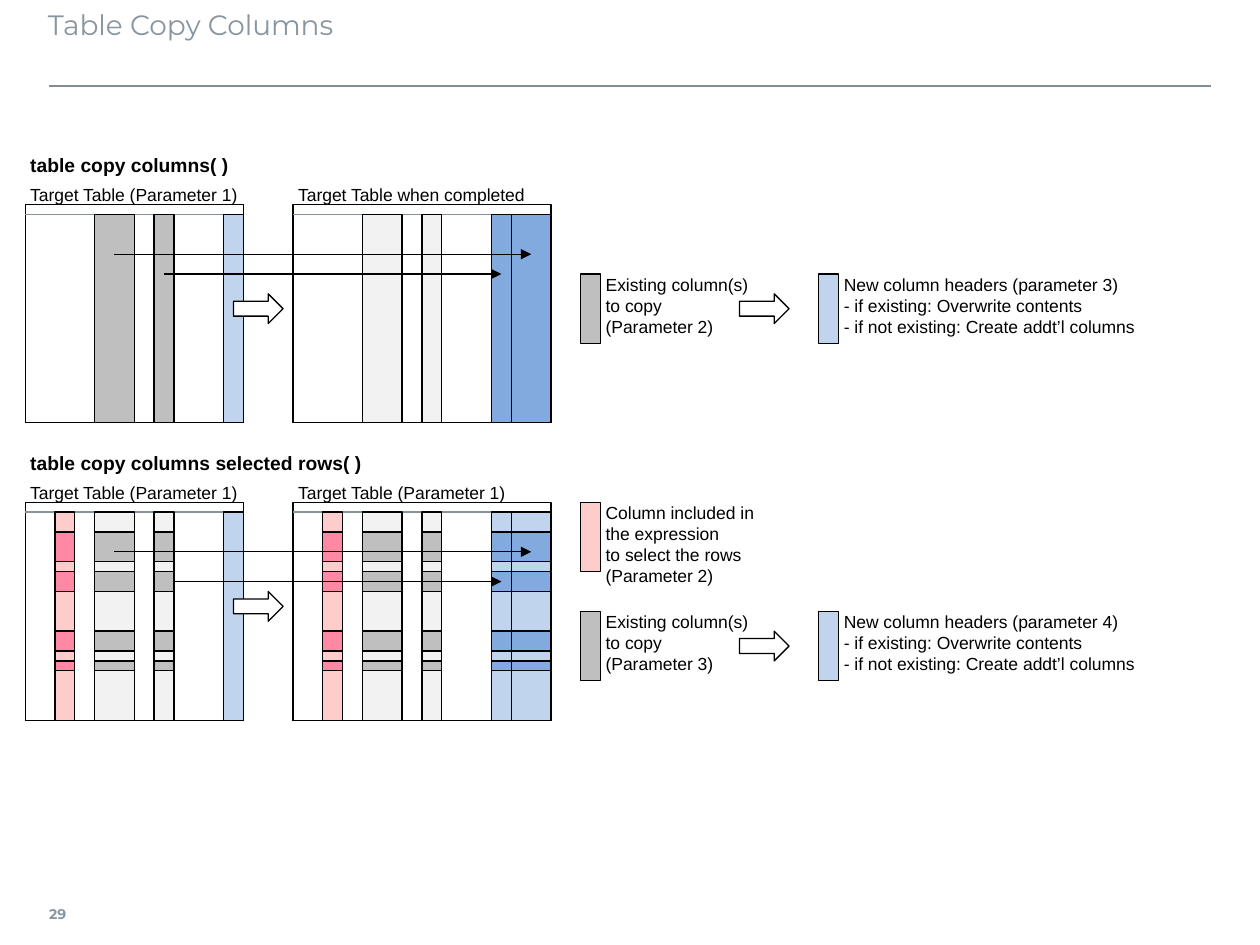
import copy
from dataclasses import dataclass

import pptx
import pptx.dml.color
import pptx.enum.shapes
import pptx.enum.text
import pptx.oxml
import pptx.oxml.ns
import pptx.util


@dataclass(frozen=True)
class Theme:
    body_font: str = "Arial"
    title_font: str = "Montserrat"
    title_size: float = 16
    heading_size: float = 11
    text_size: float = 10
    number_size: float = 8
    line_width: float = 0.75
    black: str = "000000"
    white: str = "FFFFFF"
    title: str = "8996A0"
    rule: str = "808D97"
    header_rule: str = "85939D"
    source: str = "BFBFBF"
    source_pale: str = "F2F2F2"
    target: str = "83AADE"
    target_pale: str = "C1D4EE"
    selector: str = "FF88A4"
    selector_pale: str = "FFCCCC"


THEME = Theme()
UNIT = pptx.util.Mm(2)  # one cell of the drawing grid
LEFT = pptx.util.Inches(0.2)
TOP = pptx.util.Inches(1.23)
RIGHT_TABLE = 27  # grid column where the second table starts
SHAPES = pptx.enum.shapes.MSO_SHAPE


def x(column):
    return LEFT + int(column * UNIT)


def y(row):
    return TOP + int(row * UNIT)


def color(value):
    return pptx.dml.color.RGBColor.from_string(value)


def format_text(text_frame, size, font=THEME.body_font, fill=THEME.black, bold=False):
    for paragraph in text_frame.paragraphs:
        for run in paragraph.runs:
            run.font.name, run.font.size = font, pptx.util.Pt(size)
            run.font.bold = bold
            run.font.color.rgb = color(fill)
        # line breaks take the run format, so that line heights match
        for line_break in paragraph._p.findall(pptx.oxml.ns.qn("a:br")):
            line_break.append(copy.deepcopy(paragraph.runs[0].font._rPr))


def set_frame(text_frame, insets, anchor, wrap):
    left, top, right, bottom = (pptx.util.Inches(inset) for inset in insets)
    text_frame.margin_left, text_frame.margin_top = left, top
    text_frame.margin_right, text_frame.margin_bottom = right, bottom
    text_frame.vertical_anchor = anchor
    text_frame.word_wrap = wrap
    text_frame.auto_size = pptx.enum.text.MSO_AUTO_SIZE.NONE


def add_label(slide, column, row, columns, rows, text, size=THEME.text_size,
              bold=False, middle=True):
    box = slide.shapes.add_textbox(x(column), y(row), columns * UNIT, rows * UNIT)
    anchors = pptx.enum.text.MSO_ANCHOR
    inset = 0.04 if middle else 0
    set_frame(box.text_frame, (0.04, inset, 0.04, inset),
              anchors.MIDDLE if middle else anchors.TOP, False)
    box.text_frame.text = text
    format_text(box.text_frame, size, bold=bold)


def add_box(slide, column, row, columns, rows, fill=None, kind=SHAPES.RECTANGLE):
    shape = slide.shapes.add_shape(kind, x(column), y(row), columns * UNIT, rows * UNIT)
    shape.shadow.inherit = False
    if fill:
        shape.fill.solid()
        shape.fill.fore_color.rgb = color(fill)
    else:
        shape.fill.background()
    shape.line.color.rgb = color(THEME.black)
    shape.line.width = pptx.util.Pt(THEME.line_width)
    return shape


def add_line(slide, start, end, stroke=THEME.black, width=THEME.line_width, arrow=False):
    line = slide.shapes.add_connector(
        pptx.enum.shapes.MSO_CONNECTOR.STRAIGHT, *start, *end)
    line.line.color.rgb = color(stroke)
    line.line.width = pptx.util.Pt(width)
    if arrow:
        tail = pptx.oxml.parse_xml(
            f'<a:tailEnd {pptx.oxml.ns.nsdecls("a")} type="triangle"/>')
        line.line._get_or_add_ln().append(tail)
    line._element.spPr.append(
        pptx.oxml.parse_xml(f'<a:effectLst {pptx.oxml.ns.nsdecls("a")}/>'))
    return line


def add_block_arrow(slide, column, row, fill=None):
    add_box(slide, column, row, 5, 3, fill, SHAPES.RIGHT_ARROW)


def build_frame(slide, width, height):
    # Title, rule below it and page number
    title = slide.shapes.title
    title.left, title.top = int(width * 0.038), int(width * 0.001)
    title.width, title.height = int(width * 0.921), int(height * 0.084)
    anchors = pptx.enum.text.MSO_ANCHOR
    set_frame(title.text_frame, (0, 0.05, 0.1, 0.05), anchors.TOP, True)
    title.text_frame.text = "Table Copy Columns"
    title.text_frame.paragraphs[0].alignment = pptx.enum.text.PP_ALIGN.LEFT
    format_text(title.text_frame, THEME.title_size, THEME.title_font, THEME.title)

    margin, rule_top = int(width * 0.039), int(width * 0.068)
    add_line(slide, (margin, rule_top), (width - margin, rule_top), THEME.rule, 1)

    number = slide.shapes.add_textbox(
        margin, int(width * 0.706), int(width * 0.035), int(width * 0.039))
    set_frame(number.text_frame, (0, 0.05, 0.08, 0.05), anchors.MIDDLE, False)
    number.text_frame.text = "29"
    format_text(number.text_frame, THEME.number_size, THEME.title_font, THEME.title, True)


def build_table(slide, column, row, columns, rule_columns, title, bands, marked_rows=()):
    """Draw a table sketch; a band is (column, columns, fill, fill of marked rows)."""
    add_label(slide, column, row + 3, 15, 2, title)
    add_box(slide, column, row + 5, columns, 22)
    add_box(slide, column, row + 6, columns, 21)
    add_line(slide, (x(column), y(row + 6)), (x(column + rule_columns), y(row + 6)),
             THEME.header_rule)
    for offset, span, fill, _ in bands:
        add_box(slide, column + offset, row + 6, span, 21, fill)
    return {(offset, start): add_box(slide, column + offset, row + start, span, rows, marked)
            for start, rows in marked_rows
            for offset, span, _, marked in bands if marked}


def build_panel(slide, row, heading, right_title, left_bands, right_bands,
                copies, marked_rows=()):
    """Draw a before and after pair; a copy is (from column, to column, row)."""
    add_label(slide, 0, row, 15, 2, heading, THEME.heading_size, bold=True)
    cells = build_table(slide, 0, row, 22, 21, "Target Table (Parameter 1)",
                        left_bands, marked_rows)
    build_table(slide, RIGHT_TABLE, row, 26, 26, right_title, right_bands, marked_rows)
    add_block_arrow(slide, 21, row + 14, THEME.white)
    lines = [add_line(slide, (x(start), y(row + level)), (x(end), y(row + level)), arrow=True)
             for start, end, level in copies]
    return cells, lines


def build_key(slide, column, row, columns, fill, text):
    add_box(slide, column, row, 2, 7, fill)
    add_label(slide, column + 2, row, columns, 7, text, middle=False)


def build_copy_key(slide, row, parameter):
    # Source column, arrow and new column
    build_key(slide, 56, row, 17, THEME.source,
              f"Existing column(s)\vto copy\v(Parameter {parameter})")
    add_block_arrow(slide, 72, row + 2)
    build_key(slide, 80, row, 24, THEME.target_pale,
              f"New column headers (parameter {parameter + 1})\n"
              "- if existing: Overwrite contents\v- if not existing: Create addt’l columns")


def main():
    presentation = pptx.Presentation()
    presentation.slide_width = pptx.util.Inches(10)
    presentation.slide_height = pptx.util.Inches(7.5)
    slide = presentation.slides.add_slide(presentation.slide_layouts[5])
    build_frame(slide, presentation.slide_width, presentation.slide_height)

    def source_bands(fill, marked=None):
        return [(7, 4, fill, marked), (13, 2, fill, marked)]

    def target_bands(fill, marked=None):
        return [(20, 2, fill, marked), (22, 4, fill, marked)]

    old_target = [(20, 2, THEME.target_pale, None)]

    # Whole columns
    build_panel(slide, 0, "table copy columns( )", "Target Table when completed",
                source_bands(THEME.source) + old_target,
                source_bands(THEME.source_pale) + target_bands(THEME.target),
                [(14, 48, 12), (9, 51, 10)])
    build_copy_key(slide, 12, 2)

    # Selected rows only
    selected = [(3, 2, THEME.selector_pale, THEME.selector)]
    selected += source_bands(THEME.source_pale, THEME.source)
    cells, lines = build_panel(
        slide, 30, "table copy columns selected rows( )", "Target Table (Parameter 1)",
        selected + old_target, selected + target_bands(THEME.target_pale, THEME.target),
        [(15, 48, 13), (9, 51, 10)], [(8, 3), (12, 2), (18, 2), (21, 1)])
    lines[0].begin_connect(cells[13, 12], 3)
    build_key(slide, 56, 35, 17, THEME.selector_pale,
              "Column included in\nthe expression\vto select the rows\v(Parameter 2)")
    build_copy_key(slide, 46, 3)

    presentation.save("out.pptx")


if __name__ == "__main__":
    main()
